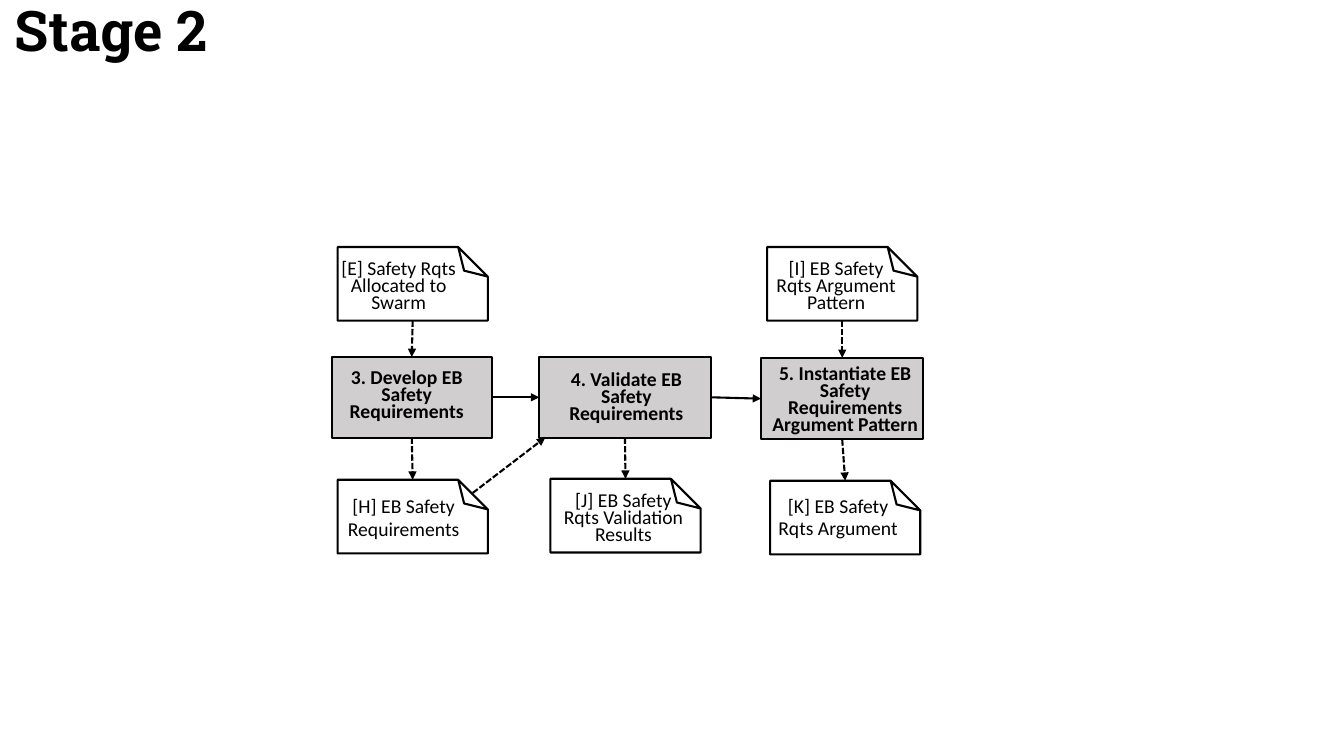
from pptx import Presentation
from pptx.dml.color import RGBColor
from pptx.enum import dml, shapes, text
from pptx.oxml.ns import qn
from pptx.util import Pt

TITLE = "Stage 2"
COLORS = {"ink": "000000", "step": "D0CECE"}
NARROW, WIDE = (7.2, 3.6), (9.4, 5)  # text insets: sides, top and bottom

# Steps: box (left, top, width, height), label box, label insets, wording
STEPS = {
    "3": ((236.9, 255, 114.5, 57.6), (236.9, 262.1, 107.3, 44.6), NARROW,
          "3. Develop EB Safety Requirements"),
    "4": ((385.2, 255, 122.4, 57.6), (390.2, 262.1, 114.5, 46.8), WIDE,
          "4. Validate EB Safety Requirements"),
    "5": ((543.6, 255.6, 116, 58.3), (540.7, 257.8, 126, 59), WIDE,
          "5. Instantiate EB Safety Requirements Argument Pattern"),
}
# Documents: centre, label box, label insets, line spacing, wording
DOCS = {
    "E": ((294.8, 202.7), (231.1, 184.3, 107.3, 44.6), NARROW, 12,
          "[E] Safety Rqts Allocated to Swarm"),
    "I": ((601.6, 202.7), (543.6, 184.3, 107.3, 44.6), NARROW, 12,
          "[I] EB Safety Rqts Argument Pattern"),
    "H": ((294.8, 369), (234.7, 350.6, 107.3, 39.6), NARROW, 15.8,
          "[H] EB Safety Requirements"),
    "J": ((446.8, 368.3), (391.7, 349.9, 107.3, 44.6), NARROW, 12,
          "[J] EB Safety Rqts Validation Results"),
    "K": ((603.7, 369.7), (545, 348.5, 107.3, 41.8), WIDE, 15.8,
          "[K] EB Safety Rqts Argument"),
}
DOC_W, DOC_H, DOC_FOLD = 107.3, 52.6, 40200  # fold in thousandths of a percent
FLOWS = [("3", "4"), ("4", "5")]
INPUTS = [("E", "3"), ("I", "5")]
OUTPUTS = [("3", "H"), ("4", "J"), ("5", "K")]
H_TO_VALIDATE = ((337.7, 352.1), (389.5, 312.5))
TOP, LEFT, BOTTOM, RIGHT = range(4)

prs = Presentation()
prs.slide_width, prs.slide_height = Pt(960), Pt(540)
slide = prs.slides.add_slide(prs.slide_layouts[5])


def color(name):
    return RGBColor.from_string(COLORS[name])


def add_xml(parent, tag, **attributes):
    parent.append(parent.makeelement(qn(tag), attributes))


def outline(sp):
    sp.line.color.rgb = color("ink")
    sp.line.width = Pt(1.5)


def add_run(p, words, font, size, bold):
    r = p.add_run()
    r.text = words
    r.font.name, r.font.size, r.font.bold = font, Pt(size), bold
    r.font.color.rgb = color("ink")


def add_outlined(kind, left, top, width, height):
    sp = slide.shapes.add_shape(kind, Pt(left), Pt(top), Pt(width), Pt(height))
    sp.shadow.inherit = False
    outline(sp)
    return sp


def add_label(box, insets, spacing, words, bold=False):
    tf = slide.shapes.add_textbox(*map(Pt, box)).text_frame
    tf.word_wrap = True
    tf.auto_size = text.MSO_AUTO_SIZE.SHAPE_TO_FIT_TEXT
    tf.margin_left = tf.margin_right = Pt(insets[0])
    tf.margin_top = tf.margin_bottom = Pt(insets[1])
    p = tf.paragraphs[0]
    p.alignment = text.PP_ALIGN.CENTER
    p.line_spacing = Pt(spacing)
    add_run(p, words, "Calibri", 14, bold)


def add_arrow(start, end, dashed=True):
    c = slide.shapes.add_connector(shapes.MSO_CONNECTOR.STRAIGHT, *map(Pt, start + end))
    outline(c)
    if dashed:
        c.line.dash_style = dml.MSO_LINE.SQUARE_DOT
    props = c._element.spPr
    add_xml(props.find(qn("a:ln")), "a:tailEnd", type="triangle")
    add_xml(props, "a:effectLst")
    return c


def doc_edge(name, side):
    x, y = DOCS[name][0]
    return x, y + side * DOC_H / 2


# Title
title = slide.shapes.title
title.left, title.top, title.width, title.height = Pt(2.9), Pt(-12.2), Pt(923), Pt(78.5)
tf = title.text_frame
tf.auto_size = text.MSO_AUTO_SIZE.NONE
tf.vertical_anchor = text.MSO_ANCHOR.MIDDLE
p = tf.paragraphs[0]
p.alignment = text.PP_ALIGN.LEFT
p.line_spacing = 0.7
add_run(p, TITLE, "Roboto Slab", 40, True)

# Steps
steps = {}
for name, (box, label, insets, words) in STEPS.items():
    sp = steps[name] = add_outlined(shapes.MSO_SHAPE.RECTANGLE, *box)
    sp.fill.solid()
    sp.fill.fore_color.rgb = color("step")
    add_label(label, insets, 12, words, bold=True)

# Documents, turned so that the fold is at the top right
for (x, y), label, insets, spacing, words in DOCS.values():
    sp = add_outlined(shapes.MSO_SHAPE.FOLDED_CORNER, x - DOC_H / 2, y - DOC_W / 2, DOC_H, DOC_W)
    sp.rotation = 270
    geometry = sp._element.spPr.find(qn("a:prstGeom"))
    add_xml(geometry.find(qn("a:avLst")), "a:gd", name="adj", fmla=f"val {DOC_FOLD}")
    sp.fill.background()
    add_label(label, insets, spacing, words)

# Arrows
for source, target in FLOWS:
    c = add_arrow((0, 0), (0, 0), dashed=False)
    c.begin_connect(steps[source], RIGHT)
    c.end_connect(steps[target], LEFT)
for doc, step in INPUTS:
    edge = doc_edge(doc, 1)
    add_arrow(edge, edge).end_connect(steps[step], TOP)
for step, doc in OUTPUTS:
    edge = doc_edge(doc, -1)
    add_arrow(edge, edge).begin_connect(steps[step], BOTTOM)
add_arrow(*H_TO_VALIDATE)

prs.save("out.pptx")
